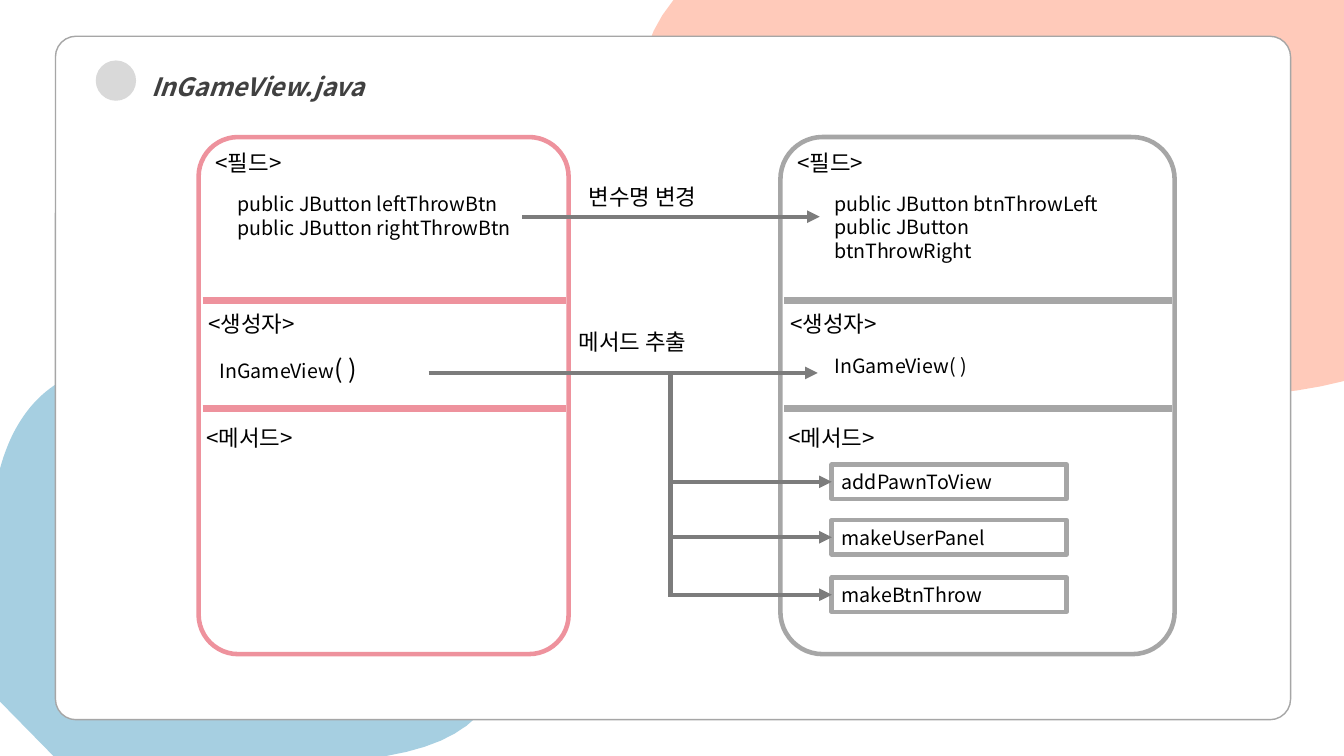
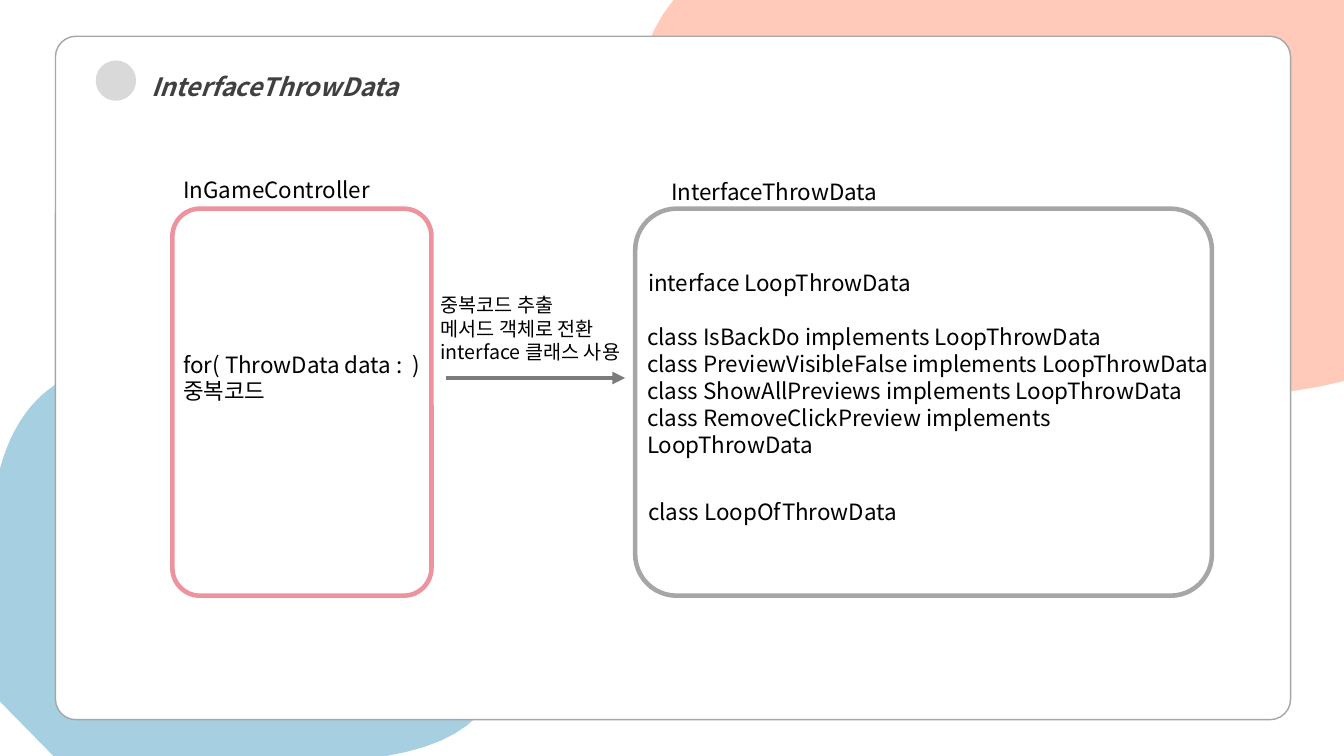
from dataclasses import dataclass

from lxml import etree
from pptx import Presentation
from pptx.dml.color import RGBColor
from pptx.enum.shapes import MSO_CONNECTOR, MSO_SHAPE
from pptx.enum.text import MSO_ANCHOR, MSO_AUTO_SIZE, PP_ALIGN
from pptx.oxml.ns import qn
from pptx.util import Inches, Pt

ROUND_RECT = MSO_SHAPE.ROUNDED_RECTANGLE
RECT = MSO_SHAPE.RECTANGLE
OVAL = MSO_SHAPE.OVAL
STRAIGHT = MSO_CONNECTOR.STRAIGHT
LEFT_SIDE = 1

FONT = "Noto Sans CJK KR"
COLORS = {
    "white": "FFFFFF", "black": "000000", "title": "404040", "dot": "D9D9D9",
    "blue": "A6CFE1", "peach": "FFCABA",
    "pink": "EE929D", "gray": "A6A6A6", "arrow": "7C7C7C",
}
BORDER = 3.25
DIVIDER = 5
ARROW = 3

# Background outlines: a point is a line end, three points are a cubic curve
BLUE_BLOB = [
    (1.37, 3.61), ((3.44, 3.67), (6.68, 7.03), (3.83, 7.5)), (0.53, 7.5),
    (0, 6.96), (0, 4.65), ((0.21, 3.88), (0.73, 3.59), (1.37, 3.61)),
]
PEACH_BLOB = [(13.33, 0), (13.33, 3.78), ((10.32, 4.57), (5.04, 2), (6.68, 0))]


@dataclass
class Run:
    text: str
    size: float = 16
    color: str = "black"
    title: bool = False


@dataclass
class Label:
    left: float
    top: float
    width: float
    height: float
    paragraphs: list[list[Run]]
    spacing: float | None = None


@dataclass
class Panel:
    left: float
    top: float
    width: float
    height: float
    color: str


@dataclass
class Section:
    text: str
    dx: float
    top: float


def rgb(name: str) -> RGBColor:
    return RGBColor.from_string(COLORS[name])


def lines(size: float, *texts: str) -> list[list[Run]]:
    return [[Run(text, size)] for text in texts]


def paint(sp, fill: str | None, line: str | None = None, weight: float = 1) -> None:
    sp.shadow.inherit = False
    if fill:
        sp.fill.solid()
        sp.fill.fore_color.rgb = rgb(fill)
    else:
        sp.fill.background()
    if line:
        sp.line.color.rgb = rgb(line)
        sp.line.width = Pt(weight)
    else:
        sp.line.fill.background()


def add_box(s, kind, left: float, top: float, width: float, height: float,
            fill: str | None, line: str | None = None, weight: float = 1,
            radius: float | None = None):
    sp = s.shapes.add_shape(kind, Inches(left), Inches(top), Inches(width), Inches(height))
    if radius is not None:
        sp.adjustments[0] = radius
    paint(sp, fill, line, weight)
    return sp


def write(sp, paragraphs: list[list[Run]], spacing: float | None = None) -> None:
    tf = sp.text_frame
    tf.word_wrap = True
    tf.auto_size = MSO_AUTO_SIZE.SHAPE_TO_FIT_TEXT
    for i, runs in enumerate(paragraphs):
        p = tf.add_paragraph() if i else tf.paragraphs[0]
        p.alignment = PP_ALIGN.LEFT
        if spacing:
            p.line_spacing = spacing
        for run in runs:
            r = p.add_run()
            r.text = run.text
            r.font.size = Pt(run.size)
            r.font.name = FONT
            r.font.color.rgb = rgb(run.color)
            if run.title:
                r.font.bold = r.font.italic = True
            # Hangul takes its font from the East Asian slot
            etree.SubElement(r.font._element, qn("a:ea")).set("typeface", FONT)


def add_label(s, label: Label) -> None:
    sp = s.shapes.add_textbox(Inches(label.left), Inches(label.top),
                              Inches(label.width), Inches(label.height))
    sp.text_frame.vertical_anchor = MSO_ANCHOR.TOP
    write(sp, label.paragraphs, label.spacing)


def add_line(s, start: tuple[float, float], end: tuple[float, float],
             color: str = "arrow", weight: float = ARROW, head: bool = False):
    line = s.shapes.add_connector(STRAIGHT, *map(Inches, start + end))
    line.line.color.rgb = rgb(color)
    line.line.width = Pt(weight)
    if head:
        etree.SubElement(line.line._get_or_add_ln(), qn("a:tailEnd")).set("type", "triangle")
    etree.SubElement(line._element.spPr, qn("a:effectLst"))
    return line


def add_blob(s, outline: list, fill: str, steps: int = 40) -> None:
    points = [outline[0]]
    for part in outline[1:]:
        if len(part) == 2:
            points.append(part)
            continue
        ctrl = (points[-1], *part)
        for i in range(1, steps + 1):
            t = i / steps
            u = 1 - t
            weights = (u ** 3, 3 * u * u * t, 3 * u * t * t, t ** 3)
            points.append(tuple(sum(w * c[axis] for w, c in zip(weights, ctrl))
                                for axis in (0, 1)))
    emu = [(Inches(x), Inches(y)) for x, y in points]
    builder = s.shapes.build_freeform(*emu[0])
    builder.add_line_segments(emu[1:], close=True)
    paint(builder.convert_to_shape(), fill)


def add_panel(s, panel: Panel) -> None:
    add_box(s, ROUND_RECT, panel.left, panel.top, panel.width, panel.height,
            None, panel.color, BORDER, 0.107)


def add_base_slide(prs, title: str):
    s = prs.slides.add_slide(prs.slide_layouts[6])
    add_blob(s, BLUE_BLOB, "blue")
    add_blob(s, PEACH_BLOB, "peach")
    add_box(s, ROUND_RECT, 0.55, 0.36, 12.25, 6.78, "white", "gray", 1, 0.03)
    add_label(s, Label(1.4, 0.51, 6.03, 0.5, [[Run(title, 18, "title", True)]], 1.5))
    add_box(s, OVAL, 0.95, 0.6, 0.4, 0.4, "dot")
    return s


def build_view_slide(prs) -> None:
    s = add_base_slide(prs, "InGameView.java")

    # Class panels, split into sections
    sections = [Section("<필드>", 0.07, 1.43), Section("<생성자>", 0, 3.03),
                Section("<메서드>", -0.02, 4.16)]
    for panel in (Panel(1.97, 1.36, 3.67, 5.13, "pink"),
                  Panel(7.74, 1.36, 3.91, 5.13, "gray")):
        add_panel(s, panel)
        for y in (2.98, 4.05):
            add_line(s, (panel.left + 0.04, y), (panel.left + panel.width - 0.03, y),
                     panel.color, DIVIDER)
        for section in sections:
            add_label(s, Label(panel.left + section.dx, section.top, 1.4, 0.37,
                               lines(16, section.text)))

    # Members and captions
    for label in (
        Label(2.26, 1.86, 3.54, 0.57, lines(14, "public JButton leftThrowBtn",
                                            "public JButton rightThrowBtn")),
        Label(8.18, 1.85, 2.86, 0.57, lines(14, "public JButton btnThrowLeft",
                                            "public JButton btnThrowRight")),
        Label(2.08, 3.46, 1.92, 0.4, [[Run("InGameView", 14), Run("( )", 18)]]),
        Label(8.18, 3.46, 1.92, 0.34, lines(14, "InGameView( )")),
        Label(5.74, 1.77, 1.89, 0.37, lines(16, "변수명 변경")),
        Label(5.64, 3.21, 1.89, 0.37, lines(16, "메서드 추출")),
    ):
        add_label(s, label)

    # Rename and extract arrows
    add_line(s, (5.18, 2.15), (8.13, 2.15), head=True)
    add_line(s, (4.25, 3.7), (8.11, 3.7), head=True)
    add_line(s, (6.65, 3.72), (6.65, 5.92))

    # Extracted methods
    height = 0.34
    for top, name in ((4.61, "addPawnToView"), (5.16, "makeUserPanel"),
                      (5.73, "makeBtnThrow")):
        box = add_box(s, RECT, 8.25, top, 2.33, height, None, "gray", BORDER)
        write(box, lines(14, name))
        middle = top + height / 2
        branch = add_line(s, (6.67, middle), (8.25, middle), head=True)
        branch.end_connect(box, LEFT_SIDE)


def build_interface_slide(prs) -> None:
    s = add_base_slide(prs, "InterfaceThrowData")

    # Before and after panels
    add_panel(s, Panel(1.71, 2.07, 2.57, 3.84, "pink"))
    add_panel(s, Panel(6.3, 2.07, 5.72, 3.84, "gray"))
    add_line(s, (4.42, 3.75), (6.2, 3.75), head=True)

    # Headings, code and caption
    for label in (
        Label(1.72, 1.7, 2.49, 0.37, lines(16, "InGameController")),
        Label(6.56, 1.72, 2.31, 0.37, lines(16, "InterfaceThrowData")),
        Label(1.72, 3.43, 2.64, 0.64, lines(16, "for( ThrowData data :  )", "중복코드")),
        Label(4.27, 2.86, 2.18, 0.81, lines(14, "중복코드 추출", "메서드 객체로 전환",
                                            "interface 클래스 사용")),
        Label(6.33, 2.62, 3.48, 0.37, lines(16, "interface LoopThrowData")),
        Label(6.32, 3.16, 5.86, 1.45, lines(
            16,
            "class IsBackDo implements LoopThrowData",
            "class PreviewVisibleFalse implements LoopThrowData",
            "class ShowAllPreviews implements LoopThrowData",
            "class RemoveClickPreview implements LoopThrowData")),
        Label(6.33, 4.89, 2.78, 0.37, lines(16, "class LoopOfThrowData")),
    ):
        add_label(s, label)


def main() -> None:
    prs = Presentation()
    prs.slide_width = Inches(13.33)
    prs.slide_height = Inches(7.5)
    build_view_slide(prs)
    build_interface_slide(prs)
    prs.save("out.pptx")


if __name__ == "__main__":
    main()
